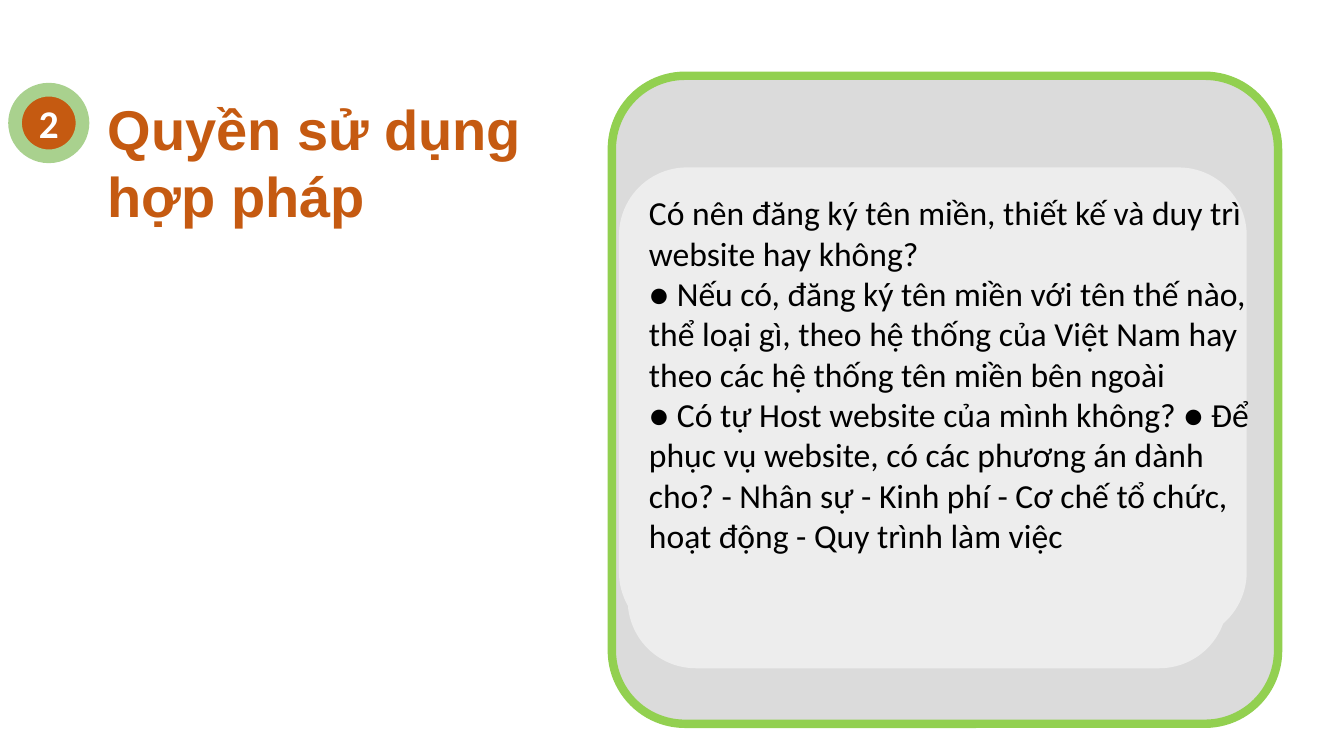
"""Build the slide on lawful rights of use for domain names and websites."""
from lxml import etree
from pptx import Presentation
from pptx import util as u
from pptx.dml.color import RGBColor
from pptx.enum import shapes, text
from pptx.oxml import ns

COLORS = {
    "panel": "DBDBDB",
    "border": "92D050",
    "card": "EDEDED",
    "accent": "C55A11",
    "ring": "A9D18E",
    "body": "000000",
    "number": "FFFFFF",
}
QUESTIONS = [
    "Có nên đăng ký tên miền, thiết kế và duy trì website hay không?",
    "● Nếu có, đăng ký tên miền với tên thế nào, thể loại gì, theo hệ thống "
    "của Việt Nam hay theo các hệ thống tên miền bên ngoài",
    "● Có tự Host website của mình không? ● Để phục vụ website, có các phương "
    "án dành cho? - Nhân sự - Kinh phí - Cơ chế tổ chức, hoạt động - Quy trình "
    "làm việc",
]


def add_filled(parent, preset, box, fill, line=None, width=0):
    """Add a flat preset shape with an optional outline."""
    item = parent.add_shape(preset, *map(u.Cm, box))
    item.shadow.inherit = False
    item.fill.solid()
    item.fill.fore_color.rgb = RGBColor.from_string(COLORS[fill])
    if line:
        item.line.color.rgb = RGBColor.from_string(COLORS[line])
        item.line.width = u.Pt(width)
    else:
        item.line.fill.background()
    return item


def format_paragraph(paragraph, font_name, size, color, bold, align):
    """Set the alignment, spacing and font of a paragraph and its runs."""
    paragraph.alignment = align
    paragraph.space_before = u.Pt(0)
    for run in paragraph.runs:
        run.font.name = font_name
        run.font.size = u.Pt(size)
        run.font.bold = bold
        run.font.color.rgb = RGBColor.from_string(COLORS[color])


prs = Presentation()
prs.slide_width, prs.slide_height = u.Cm(33.87), u.Cm(19.05)
slide = prs.slides.add_slide(prs.slide_layouts[1])
ROUNDED = shapes.MSO_SHAPE.ROUNDED_RECTANGLE

panel = add_filled(slide.shapes, ROUNDED, (15.42, 1.91, 16.79, 16.33), "panel", "border", 6)
panel.adjustments[0] = 0.113

cards = slide.shapes.add_group_shape()
for card_box in [(15.82, 4.93, 15.11, 11.91), (15.6, 4.22, 15.82, 11.91)]:
    card = add_filled(cards.shapes, ROUNDED, card_box, "card")
    card.adjustments[0] = 0.144

heading = slide.shapes.title
heading.text_frame.text = "Quyền sử dụng hợp pháp"
questions = slide.placeholders[1]
questions.text_frame.text = "\n".join(QUESTIONS)
for part, box in [
    (heading, (2.46, 2.26, 12.95, 3.68)),
    (questions, (16.1, 4.72, 15.82, 11.53)),
]:
    part.left, part.top, part.width, part.height = map(u.Cm, box)
    part.text_frame.word_wrap = True
    part.text_frame.auto_size = text.MSO_AUTO_SIZE.NONE
    part.text_frame.vertical_anchor = text.MSO_ANCHOR.TOP
    slide.shapes.element.append(part.element)

format_paragraph(heading.text_frame.paragraphs[0], "Arial", 40, "accent", True, text.PP_ALIGN.LEFT)
for question in questions.text_frame.paragraphs:
    properties = question._p.get_or_add_pPr()
    properties.set("marL", "0")
    properties.set("indent", "0")
    etree.SubElement(properties, ns.qn("a:buNone"))
    format_paragraph(question, "Calibri", 24, "body", False, text.PP_ALIGN.LEFT)

badge = add_filled(
    slide.shapes, shapes.MSO_SHAPE.OVAL, (0.38, 2.26, 1.7, 1.68), "accent", "ring", 9.75
)
number = badge.text_frame
number.text = "2"
number.vertical_anchor = text.MSO_ANCHOR.MIDDLE
number.margin_left = number.margin_right = number.margin_top = number.margin_bottom = 0
format_paragraph(number.paragraphs[0], "Calibri", 28, "number", True, text.PP_ALIGN.CENTER)

prs.save("out.pptx")
